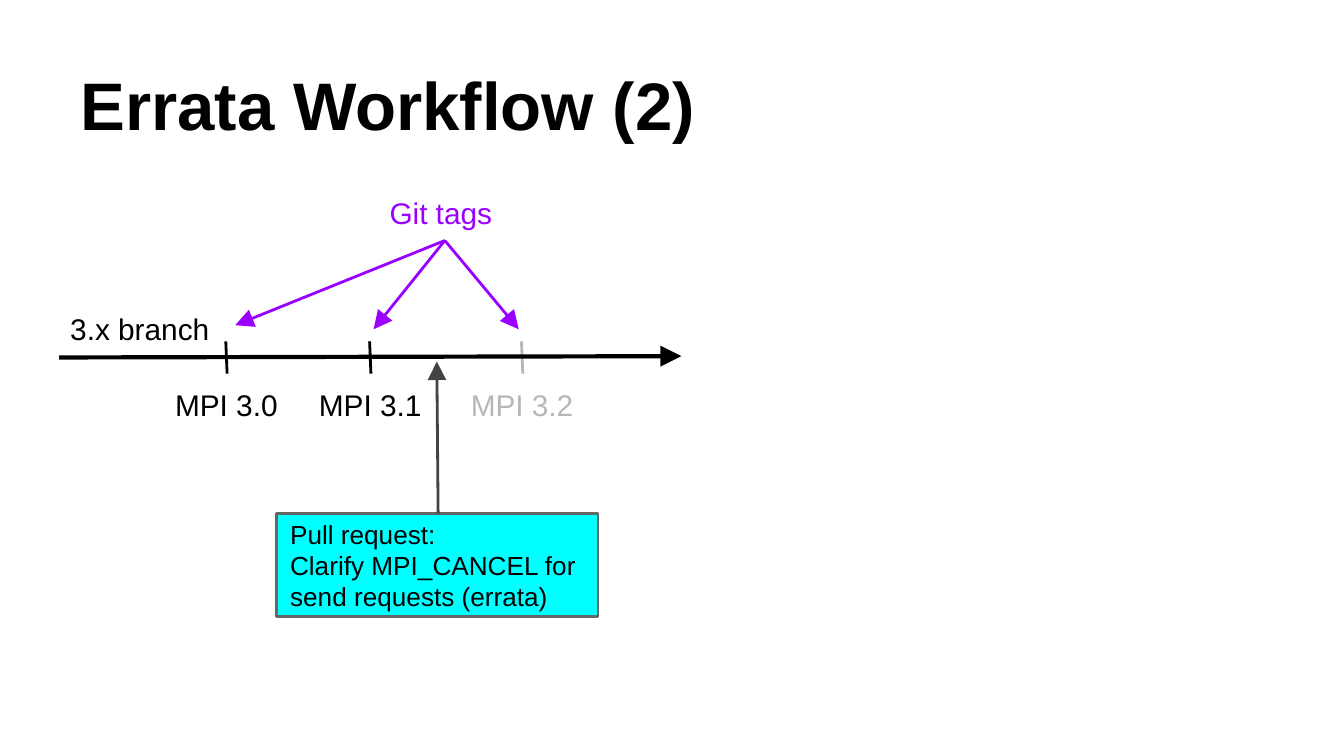
"""Build the errata workflow slide with its branch timeline."""
import pptx
import pptx.dml.color
import pptx.enum.shapes
import pptx.enum.text
import pptx.oxml
import pptx.util
from pptx.util import Inches

RGBColor = pptx.dml.color.RGBColor
BLACK = RGBColor(0x00, 0x00, 0x00)
GRAY = RGBColor(0xB7, 0xB7, 0xB7)
DARK = RGBColor(0x43, 0x43, 0x43)
EDGE = RGBColor(0x66, 0x66, 0x66)
PURPLE = RGBColor(0x99, 0x00, 0xFF)
CYAN = RGBColor(0x00, 0xFF, 0xFF)
ALIGN = pptx.enum.text.PP_ALIGN
ANCHOR = pptx.enum.text.MSO_ANCHOR
NS = 'xmlns:a="http://schemas.openxmlformats.org/drawingml/2006/main"'

deck = pptx.Presentation()
deck.slide_width = Inches(10)
deck.slide_height = Inches(10) * 9 // 16
slide = deck.slides.add_slide(deck.slide_layouts[6])
shapes = slide.shapes


def write(shape, text, size, color=BLACK, align=ALIGN.LEFT, anchor=ANCHOR.TOP, bold=False):
    frame = shape.text_frame
    frame.text = text
    frame.word_wrap = True
    frame.vertical_anchor = anchor
    frame.margin_left = frame.margin_right = Inches(0.1)
    frame.margin_top = frame.margin_bottom = Inches(0.1)
    for para in frame.paragraphs:
        para.alignment = align
        for run in para.runs:
            run.font.name = "Arial"
            run.font.size = pptx.util.Pt(size)
            run.font.bold = bold
            run.font.color.rgb = color


def draw(start, end, color, width=1.5, arrow=True):
    ends = [Inches(n) for n in (*start, *end)]
    line = shapes.add_connector(pptx.enum.shapes.MSO_CONNECTOR.STRAIGHT, *ends)
    line.line.color.rgb = color
    line.line.width = pptx.util.Pt(width)
    if arrow:
        head = pptx.oxml.parse_xml(f'<a:tailEnd {NS} type="triangle" w="lg" len="lg"/>')
        line.line._get_or_add_ln().append(head)
    line._element.spPr.append(pptx.oxml.parse_xml(f"<a:effectLst {NS}/>"))


title = shapes.add_textbox(Inches(0.5), Inches(0.23), Inches(9), Inches(0.94))
write(title, "Errata Workflow (2)", 36, anchor=ANCHOR.BOTTOM, bold=True)

branch = shapes.add_textbox(Inches(0.34), Inches(2.21), Inches(1.4), Inches(0.43))
write(branch, "3.x branch", 16, align=ALIGN.CENTER)

tags = shapes.add_textbox(Inches(2.8), Inches(1.35), Inches(1.02), Inches(0.44))
write(tags, "Git tags", 16, PURPLE)

for name, left, color, tip in (
    ("MPI 3.0", 1.12, BLACK, (1.75, 2.42)),
    ("MPI 3.1", 2.19, BLACK, (2.78, 2.45)),
    ("MPI 3.2", 3.32, GRAY, (3.86, 2.45)),
):
    draw((left + 0.56, 2.54), (left + 0.57, 2.78), color, arrow=False)
    label = shapes.add_textbox(Inches(left), Inches(2.78), Inches(1.13), Inches(0.44))
    write(label, name, 16, color, ALIGN.CENTER)
    draw((3.31, 1.79), tip, PURPLE)

pull = shapes.add_shape(
    pptx.enum.shapes.MSO_SHAPE.RECTANGLE,
    Inches(2.06), Inches(3.82), Inches(2.39), Inches(0.77),
)
pull.shadow.inherit = False
pull.fill.solid()
pull.fill.fore_color.rgb = CYAN
pull.line.color.rgb = EDGE
pull.line.width = pptx.util.Pt(1.5)
note = "Pull request:\nClarify MPI_CANCEL for send requests (errata)"
write(pull, note, 14, anchor=ANCHOR.MIDDLE)

draw((3.26, 3.82), (3.25, 2.69), DARK)
draw((0.44, 2.66), (5.07, 2.65), BLACK, 2.25)

deck.save("out.pptx")
